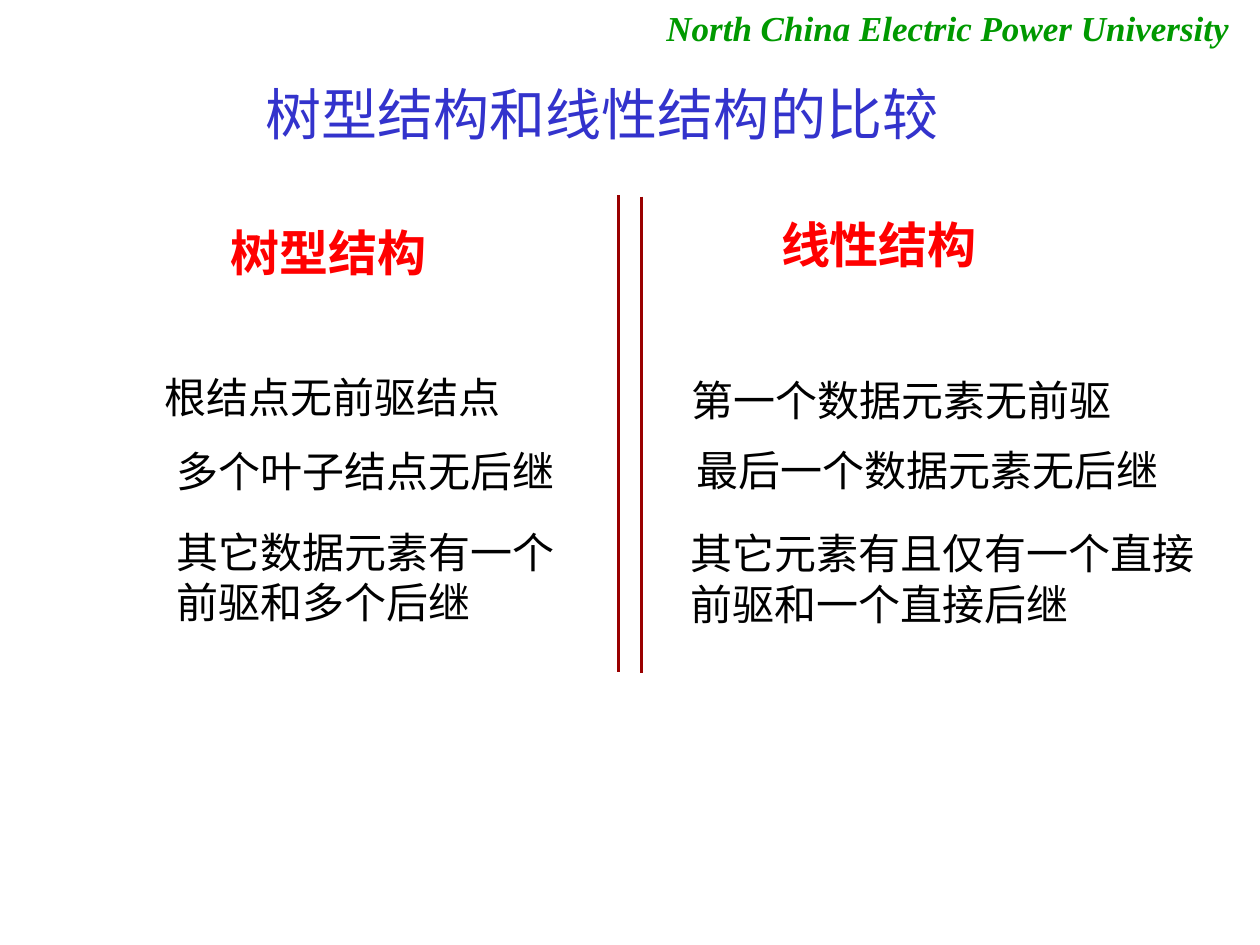
from lxml import etree
from pptx import Presentation
from pptx.dml.color import RGBColor
from pptx.enum.shapes import MSO_CONNECTOR
from pptx.enum.text import MSO_ANCHOR, MSO_AUTO_SIZE, PP_ALIGN
from pptx.oxml.ns import qn
from pptx.util import Inches, Pt

STRAIGHT = MSO_CONNECTOR.STRAIGHT
TOP = MSO_ANCHOR.TOP
FIT_SHAPE = MSO_AUTO_SIZE.SHAPE_TO_FIT_TEXT
LEFT = PP_ALIGN.LEFT

SANS, SERIF = "Noto Sans CJK SC", "Times New Roman"
COLORS = {"title": "3333CC", "heading": "FF0000", "body": "000000",
          "divider": "990000", "school": "009900"}
STYLES = {
    "title": dict(size=32, name=SANS),
    "heading": dict(size=28, name=SANS, bold=True),
    "body": dict(size=24, name=SERIF),
    "school": dict(size=20, name=SERIF, bold=True, italic=True),
}

TITLE = (["树型结构和线性结构的比较"], (2.01, 0.58, 6.34, 0.64))
TEXTS = [
    ("heading", ["树型结构"], (1.73, 1.72, 2.2, 0.57)),
    ("heading", ["线性结构"], (6.1, 1.65, 2.15, 0.57)),
    ("body", ["根结点无前驱结点"], (1.21, 2.9, 3.16, 0.5)),
    ("body", ["第一个数据元素无前驱"], (5.39, 2.92, 3.61, 0.5)),
    ("body", ["多个叶子结点无后继"], (1.3, 3.49, 3.3, 0.5)),
    ("body", ["最后一个数据元素无后继"], (5.43, 3.48, 3.95, 0.5)),
    ("body", ["其它数据元素有一个", "前驱和多个后继"], (1.3, 4.13, 3.34, 0.9)),
    ("body", ["其它元素有且仅有一个直接前驱和一个直接后继"], (5.38, 4.14, 4.4, 0.9)),
    ("school", ["North China Electric Power University"], (5.19, 0, 4.75, 0.44)),
]
DIVIDERS = [(4.91, 1.55), (5.09, 1.56)]
DIVIDER_HEIGHT = 3.78


def write(sp, style, lines, box):
    sp.left, sp.top, sp.width, sp.height = map(Inches, box)
    tf = sp.text_frame
    tf.word_wrap = True
    tf.auto_size = FIT_SHAPE
    tf.vertical_anchor = TOP
    tf.text = "\n".join(lines)
    for p in tf.paragraphs:
        p.alignment = LEFT
        look = STYLES[style]
        p.font.size = Pt(look["size"])
        p.font.name = look["name"]
        p.font.bold = look.get("bold", False)
        p.font.italic = look.get("italic", False)
        p.font.color.rgb = RGBColor.from_string(COLORS[style])
        latin = p._p.find(".//" + qn("a:latin"))
        east_asian = etree.Element(qn("a:ea"), typeface=SANS)
        latin.addnext(east_asian)


prs = Presentation()
prs.slide_width, prs.slide_height = Inches(10), Inches(7.5)
s = prs.slides.add_slide(prs.slide_layouts[5])

write(s.shapes.title, "title", *TITLE)
for style, lines, box in TEXTS:
    write(s.shapes.add_textbox(*map(Inches, box)), style, lines, box)

for x, y in DIVIDERS:
    line = s.shapes.add_connector(
        STRAIGHT, Inches(x), Inches(y), Inches(x), Inches(y + DIVIDER_HEIGHT))
    line.line.color.rgb = RGBColor.from_string(COLORS["divider"])
    line.line.width = Pt(1.5)
    etree.SubElement(line._element.spPr, qn("a:effectLst"))

prs.save("out.pptx")
